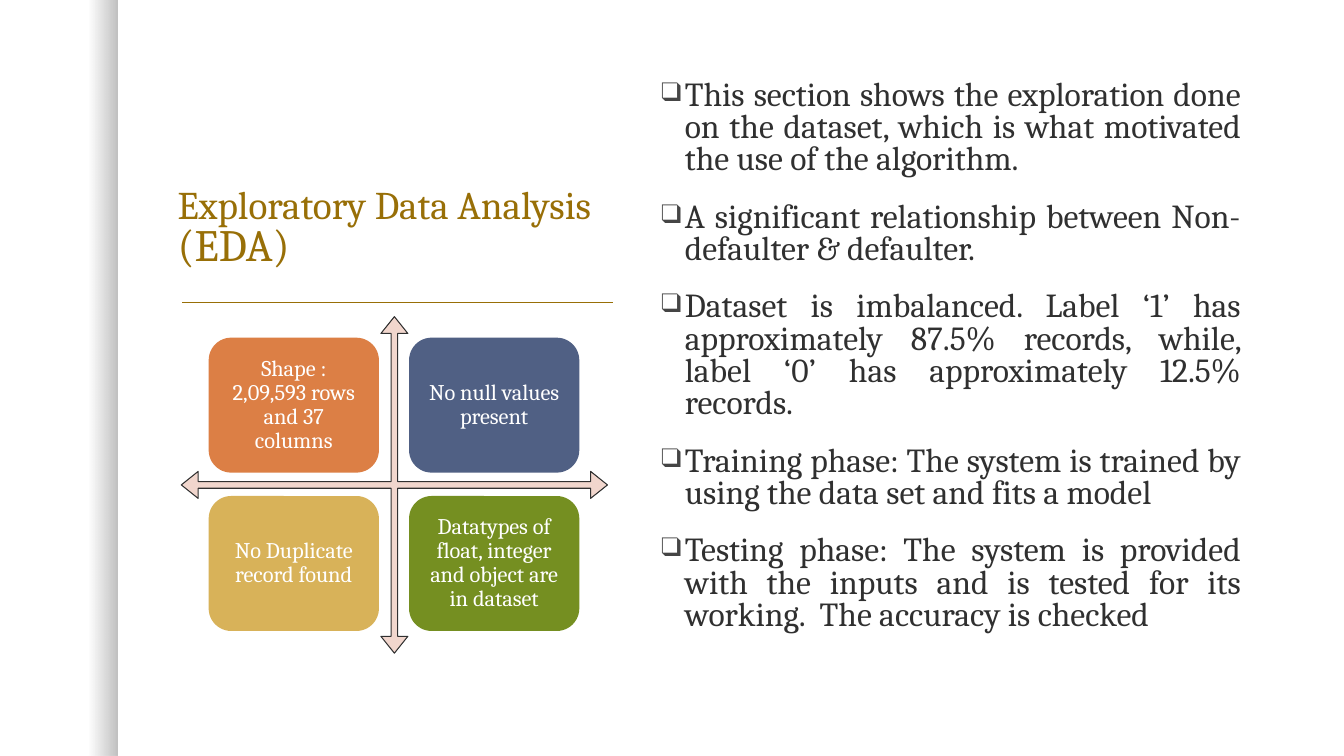
import pptx
import pptx.util
import pptx.dml.color
import pptx.enum.shapes
import pptx.enum.text
import pptx.oxml.ns
import pptx.oxml.xmlchemy
from lxml import etree

Cm = pptx.util.Cm
Pt = pptx.util.Pt
Kind = pptx.enum.shapes.MSO_SHAPE
Align = pptx.enum.text.PP_ALIGN
Anchor = pptx.enum.text.MSO_ANCHOR
Fit = pptx.enum.text.MSO_AUTO_SIZE
qn = pptx.oxml.ns.qn

FONT = "Cambria"
HUES = {
    "gold": "986F07",
    "ink": "303030",
    "mark": "454545",
    "white": "FFFFFF",
    "black": "000000",
    "blush": "F1D6CD",
    "orange": "DC7F45",
    "blue": "506084",
    "sand": "D8B259",
    "green": "758F21",
}
POINTS = [
    "This section shows the exploration done on the dataset, which is what motivated the use of the algorithm.",
    "A significant relationship between Non-defaulter & defaulter.",
    "Dataset is imbalanced. Label ‘1’ has approximately 87.5% records, while, label ‘0’ has approximately 12.5% records.",
    "Training phase: The system is trained by using the data set and fits a model",
    "Testing phase: The system is provided with the inputs and is tested for its working.  The accuracy is checked",
]
CARDS = [
    ("Shape : 2,09,593 rows and 37 columns", "orange"),
    ("No null values present", "blue"),
    ("No Duplicate record found", "sand"),
    ("Datatypes of float, integer and object are in dataset", "green"),
]


def rgb(hue):
    return pptx.dml.color.RGBColor.from_string(HUES[hue])


def style(font, hue, size=None):
    font.name = FONT
    font.color.rgb = rgb(hue)
    if size:
        font.size = Pt(size)


def block(slide, kind, box, hue=None):
    shape = slide.shapes.add_shape(kind, *map(Cm, box))
    shape.shadow.inherit = False
    shape.line.fill.background()
    if hue:
        shape.fill.solid()
        shape.fill.fore_color.rgb = rgb(hue)
    return shape


def shade(slide):
    strip = block(slide, Kind.RECTANGLE, (0, 0, 2.95, 19.05))
    strip.fill.gradient()
    strip.fill.gradient_angle = 0
    for stop, place in zip(strip.fill.gradient_stops, (0.75, 1)):
        stop.position = place
        stop.color.rgb = rgb("black")
    tints = strip._element.spPr.iter(qn("a:srgbClr"))
    for tint, alpha in zip(tints, ("0", "25000")):
        etree.SubElement(tint, qn("a:alpha"), val=alpha)


def rule(slide):
    line = slide.shapes.add_connector(
        pptx.enum.shapes.MSO_CONNECTOR.STRAIGHT, Cm(4.6), Cm(7.62), Cm(15.44), Cm(7.62))
    line.line.color.rgb = rgb("gold")
    line.line.width = Pt(1)
    etree.SubElement(line._element.spPr, qn("a:effectLst"))


def title(slide):
    head = slide.shapes.title
    head.left, head.top, head.width, head.height = map(Cm, (4.22, 1.9, 11.43, 5.03))
    frame = head.text_frame
    frame.word_wrap = True
    frame.auto_size = Fit.NONE
    frame.vertical_anchor = Anchor.BOTTOM
    para = frame.paragraphs[0]
    para.alignment = Align.LEFT
    para.line_spacing = 0.8
    first = para.add_run()
    first.text = "Exploratory Data Analysis "
    para.add_line_break()
    last = para.add_run()
    last.text = "(EDA)"
    for run, size in ((first, 28), (last, 32)):
        style(run.font, "gold", size)


def bullet(para):
    props = para._p.get_or_add_pPr()
    props.set("marL", str(Cm(0.6)))
    props.set("indent", str(-Cm(0.6)))
    tint = etree.SubElement(props, qn("a:buClr"))
    etree.SubElement(tint, qn("a:srgbClr"), val=HUES["mark"])
    etree.SubElement(props, qn("a:buSzPct"), val="80000")
    etree.SubElement(props, qn("a:buFont"), typeface=FONT)
    etree.SubElement(props, qn("a:buChar"), char="❑")


def points(slide):
    frame = slide.shapes.add_textbox(*map(Cm, (16.41, 1.9, 15.11, 15.24))).text_frame
    frame.word_wrap = True
    for i, text in enumerate(POINTS):
        para = frame.add_paragraph() if i else frame.paragraphs[0]
        para.text = text
        bullet(para)
        para.alignment = Align.JUSTIFY
        para.line_spacing = 0.8
        para.space_before = Pt(18 if i else 0)
        style(para.font, "ink", 24)


def cross(slide):
    arrow = block(slide, Kind.QUAD_ARROW, (4.57, 7.98, 10.74, 8.48), "blush")
    arrow.line.color.rgb = rgb("ink")
    arrow.line.width = Pt(0.75)
    for i, value in enumerate((0.02, 0.04, 0.05)):
        arrow.adjustments[i] = value


def card(slide, index, text, hue):
    row, col = divmod(index, 2)
    box = (5.26 + 5.05 * col, 8.51 + 3.99 * row, 4.29, 3.4)
    shape = block(slide, Kind.ROUNDED_RECTANGLE, box, hue)
    frame = shape.text_frame
    frame.word_wrap = True
    frame.vertical_anchor = Anchor.MIDDLE
    frame.margin_left = frame.margin_right = Cm(0.23)
    frame.margin_top = frame.margin_bottom = Cm(0.18)
    para = frame.paragraphs[0]
    para.text = text
    para.alignment = Align.CENTER
    para.line_spacing = 0.9
    style(para.font, "white", 16)


def main():
    deck = pptx.Presentation()
    deck.slide_width, deck.slide_height = Cm(33.87), Cm(19.05)
    slide = deck.slides.add_slide(deck.slide_layouts[5])
    shade(slide)
    rule(slide)
    title(slide)
    points(slide)
    cross(slide)
    for i, (text, hue) in enumerate(CARDS):
        card(slide, i, text, hue)
    deck.save("out.pptx")


if __name__ == "__main__":
    main()
